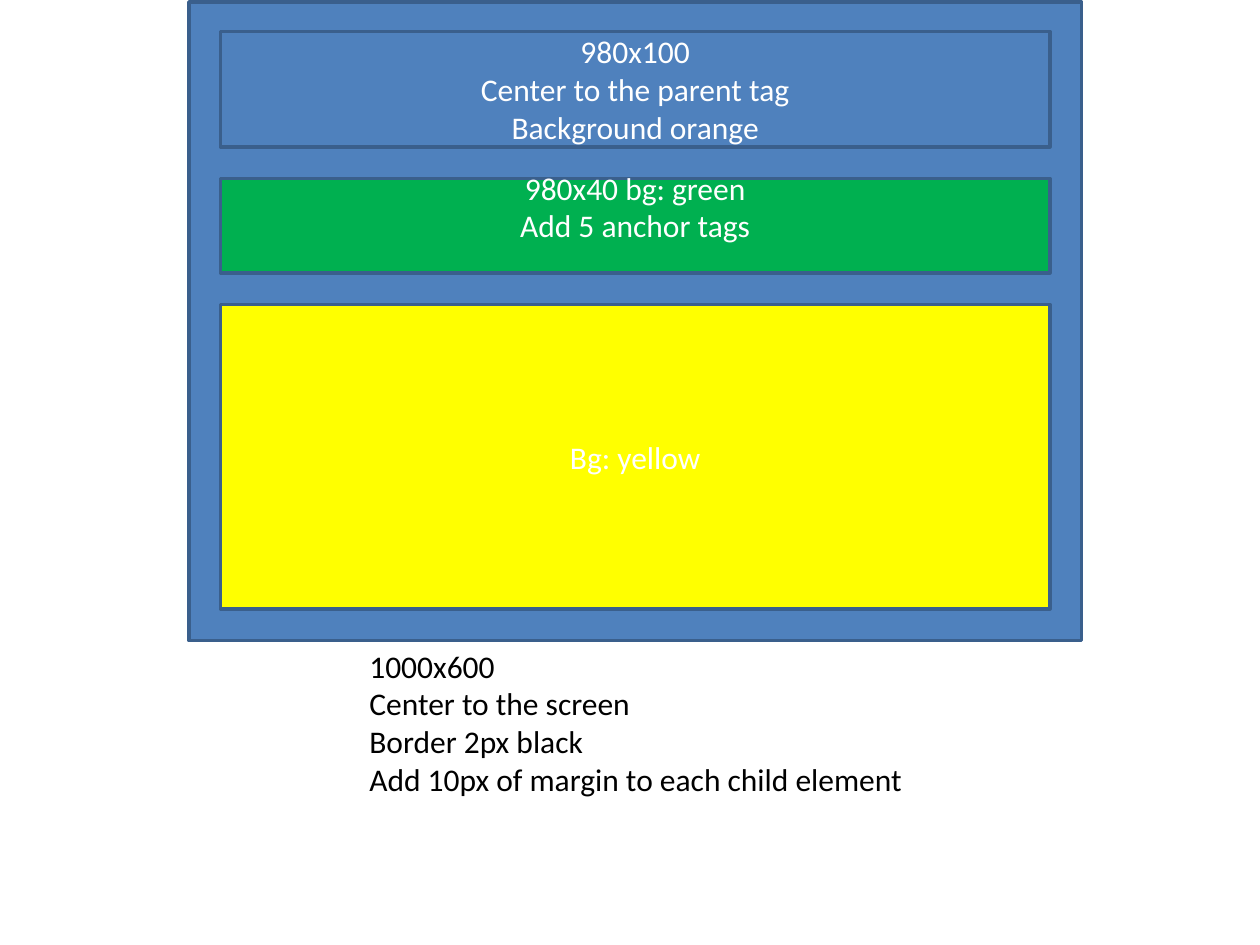
"""Build a slide that sketches a nested page layout exercise."""
from dataclasses import dataclass

from pptx import Presentation
from pptx.dml.color import RGBColor
from pptx.enum.shapes import MSO_SHAPE
from pptx.enum.text import MSO_ANCHOR, PP_ALIGN
from pptx.text.text import TextFrame
from pptx.util import Pt

BLUE = RGBColor(0x4F, 0x81, 0xBD)
BORDER = RGBColor(0x3A, 0x5F, 0x8C)
GREEN = RGBColor(0x00, 0xB0, 0x50)
YELLOW = RGBColor(0xFF, 0xFF, 0x00)
WHITE = RGBColor(0xFF, 0xFF, 0xFF)
BLACK = RGBColor(0x00, 0x00, 0x00)

FIRST_TOP = 18
GAP = 18


@dataclass
class Band:
    height: float
    fill: RGBColor
    lines: tuple[str, ...]
    bottom_inset: float = 3.6


BANDS = (
    Band(66, BLUE, ("980x100", "Center to the parent tag", "Background orange")),
    Band(54, GREEN, ("980x40 bg: green", "Add 5 anchor tags"), 25.6),
    Band(174, YELLOW, ("Bg: yellow",)),
)
NOTES = (
    "1000x600",
    "Center to the screen",
    "Border 2px black",
    "Add 10px of margin to each child element",
)


def write_lines(frame: TextFrame, lines: tuple[str, ...], color: RGBColor,
                alignment: PP_ALIGN) -> None:
    frame.word_wrap = True
    frame.text = "\n".join(lines)
    for para in frame.paragraphs:
        para.alignment = alignment
        para.font.name = "Calibri"
        para.font.size = Pt(18)
        para.font.color.rgb = color


def add_band(page, left: float, top: float, width: float, band: Band) -> None:
    box = page.shapes.add_shape(
        MSO_SHAPE.RECTANGLE, Pt(left), Pt(top), Pt(width), Pt(band.height))
    box.shadow.inherit = False
    box.fill.solid()
    box.fill.fore_color.rgb = band.fill
    box.line.color.rgb = BORDER
    box.line.width = Pt(2)
    if band.lines:
        frame = box.text_frame
        frame.vertical_anchor = MSO_ANCHOR.MIDDLE
        frame.margin_bottom = Pt(band.bottom_inset)
        write_lines(frame, band.lines, WHITE, PP_ALIGN.CENTER)


deck = Presentation()
deck.slide_width, deck.slide_height = Pt(720), Pt(540)
page = deck.slides.add_slide(deck.slide_layouts[6])

add_band(page, 108, 1.2, 510, Band(365, BLUE, ()))

caption = page.shapes.add_textbox(Pt(204), Pt(366), Pt(366), Pt(94.5))
write_lines(caption.text_frame, NOTES, BLACK, PP_ALIGN.LEFT)

top = FIRST_TOP
for band in BANDS:
    add_band(page, 126, top, 474, band)
    top += band.height + GAP

deck.save("out.pptx")
